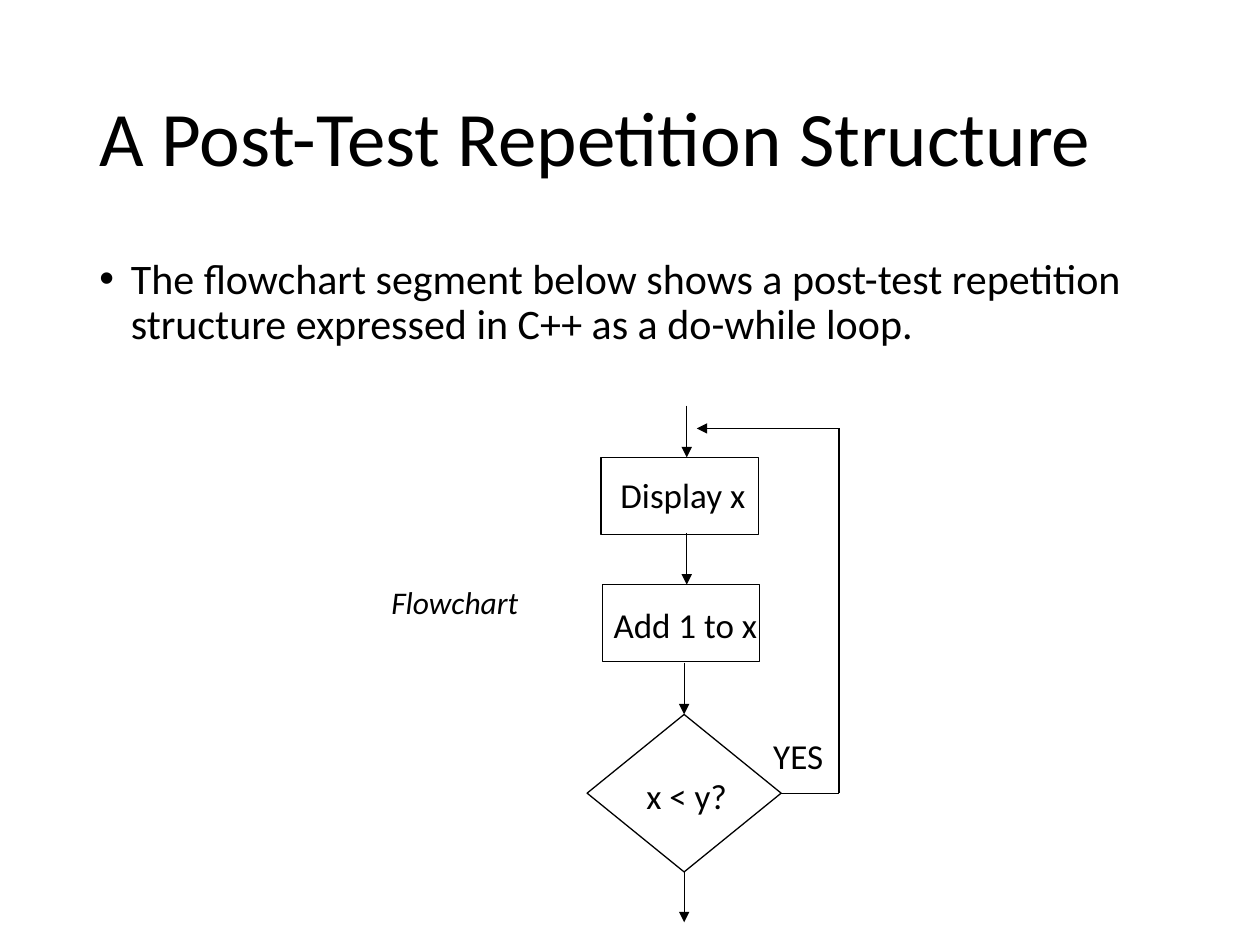
from lxml import etree
from pptx import Presentation
from pptx.dml.color import RGBColor
from pptx.enum.shapes import MSO_CONNECTOR, MSO_SHAPE
from pptx.enum.text import MSO_ANCHOR, PP_ALIGN
from pptx.oxml.ns import qn
from pptx.util import Inches, Pt

STRAIGHT = MSO_CONNECTOR.STRAIGHT
RECTANGLE = MSO_SHAPE.RECTANGLE
DECISION = MSO_SHAPE.FLOWCHART_DECISION
LEFT, CENTER = PP_ALIGN.LEFT, PP_ALIGN.CENTER
TOP, MIDDLE = MSO_ANCHOR.TOP, MSO_ANCHOR.MIDDLE
BOTTOM_SITE, RIGHT_SITE, TOP_SITE = 2, 3, 0


def color(value):
    return RGBColor.from_string(value)


class SlideBuilder:
    """Draws on one slide with a grid of 100 columns by 75 rows."""

    font = "Calibri"
    ink = "000000"
    line_width = Pt(0.75)

    def __init__(self, presentation):
        self.slide = presentation.slides.add_slide(presentation.slide_layouts[6])
        self.column = presentation.slide_width / 100
        self.row = presentation.slide_height / 75

    def place(self, *lengths):
        """Turn alternating columns and rows into slide lengths."""
        units = (self.column, self.row) * (len(lengths) // 2)
        return [round(length * unit) for length, unit in zip(lengths, units)]

    def text(self, content, box, size, align=CENTER, anchor=TOP, italic=False):
        frame = self.slide.shapes.add_textbox(*self.place(*box)).text_frame
        frame.word_wrap = True
        frame.vertical_anchor = anchor
        paragraph = frame.paragraphs[0]
        paragraph.alignment = align
        run = paragraph.add_run()
        run.text = content
        run.font.name = self.font
        run.font.size = Pt(size)
        run.font.italic = italic
        run.font.color.rgb = color(self.ink)
        return paragraph

    def bullet(self, paragraph, indent):
        properties = paragraph._p.get_or_add_pPr()
        properties.set("marL", str(indent))
        properties.set("indent", str(-indent))
        etree.SubElement(properties, qn("a:buFont")).set("typeface", "Arial")
        etree.SubElement(properties, qn("a:buChar")).set("char", "•")

    def outline(self, kind, box):
        shape = self.slide.shapes.add_shape(kind, *self.place(*box))
        shape.shadow.inherit = False
        shape.fill.background()
        shape.line.color.rgb = color(self.ink)
        shape.line.width = self.line_width
        return shape

    def line(self, start, end, arrow=False):
        connector = self.slide.shapes.add_connector(STRAIGHT, *self.place(*start, *end))
        connector.line.color.rgb = color(self.ink)
        connector.line.width = self.line_width
        if arrow:
            tail = etree.SubElement(connector.line._get_or_add_ln(), qn("a:tailEnd"))
            tail.set("type", "triangle")
        etree.SubElement(connector._element.spPr, qn("a:effectLst"))
        return connector


def main():
    presentation = Presentation()
    presentation.slide_width = Inches(10)
    presentation.slide_height = Inches(7.5)
    builder = SlideBuilder(presentation)

    title = builder.text("A Post-Test Repetition Structure", (6.9, 4, 86.2, 14.5),
                         44, LEFT, MIDDLE)
    body = builder.text(
        "The flowchart segment below shows a post-test repetition structure "
        "expressed in C++ as a do-while loop.", (6.9, 20, 86.2, 47.6), 24, LEFT)
    title.line_spacing = body.line_spacing = 0.9
    body.space_before = Pt(10)
    builder.bullet(body, Inches(0.25))
    builder.text("Flowchart", (27.4, 45.8, 17.4, 5), 18, italic=True)

    # Process steps, each entered by an arrow from above
    steps = [("Display x", 47.7, 36.3, 47.1, 37.1), ("Add 1 to x", 47.8, 46.4, 47.3, 47.4)]
    for label, left, top, label_left, label_top in steps:
        builder.line((54.5, top - 4.1), (54.5, top), arrow=True)
        builder.outline(RECTANGLE, (left, top, 12.5, 6.1))
        builder.text(label, (label_left, label_top, 14.2, 4.3), 20)

    # Decision with its entry, exit and loop back
    decision = builder.outline(DECISION, (46.6, 56.7, 15.4, 12.5))
    builder.text("x < y?", (49.3, 61, 10.4, 4.3), 20)
    builder.text("YES", (59.1, 57.8, 8.5, 4.3), 20)
    entry = builder.line((54.3, 52.6), (54.3, 56.7), arrow=True)
    entry.end_connect(decision, TOP_SITE)
    leaving = builder.line((54.3, 69.2), (54.3, 73.2), arrow=True)
    leaving.begin_connect(decision, BOTTOM_SITE)
    branch = builder.line((62, 62.95), (66.6, 62.95))
    branch.begin_connect(decision, RIGHT_SITE)
    builder.line((66.6, 62.95), (66.6, 34))
    builder.line((66.6, 34), (55.3, 34), arrow=True)

    presentation.save("out.pptx")


if __name__ == "__main__":
    main()
